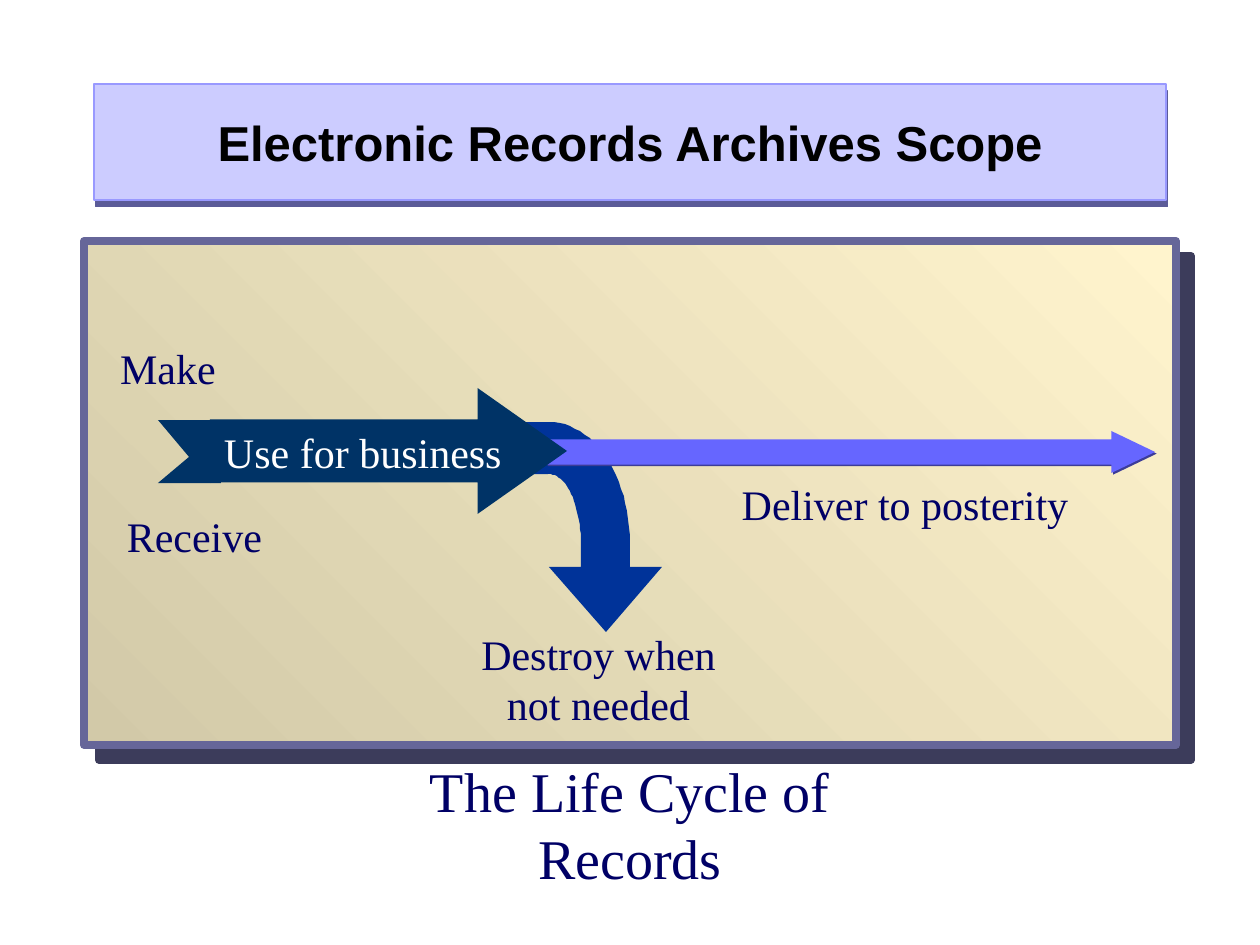
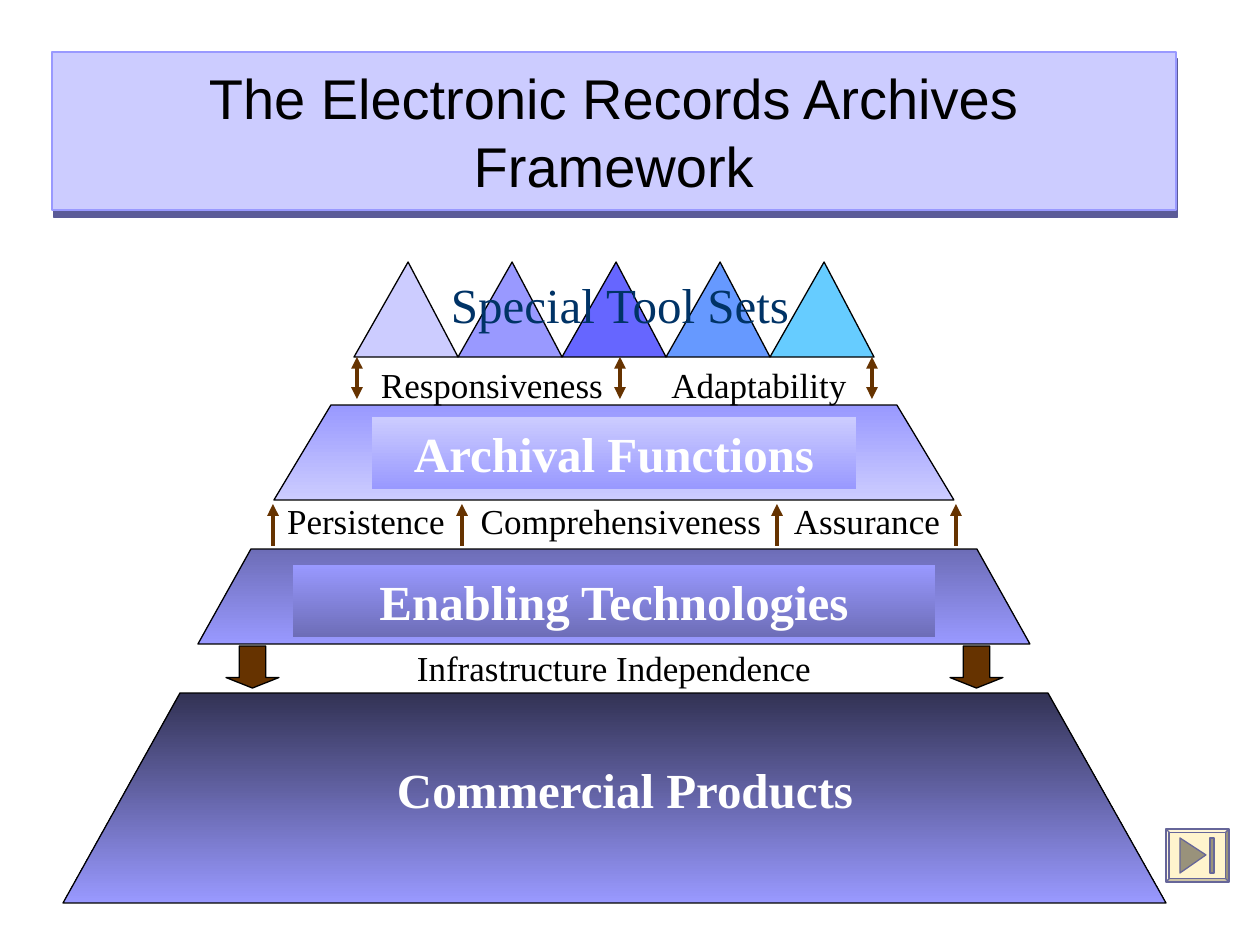
from dataclasses import dataclass

from lxml import etree
from pptx import Presentation, util as u
from pptx.dml.color import RGBColor
from pptx.enum import shapes, text
from pptx.oxml import ns

EMU_PER_PX = 914400 / 126
PRESET = shapes.MSO_SHAPE
CENTER, RIGHT = text.PP_ALIGN.CENTER, text.PP_ALIGN.RIGHT


@dataclass(frozen=True)
class Theme:
    heading_font: str = "Arial"
    body_font: str = "Times New Roman"
    black: str = "000000"
    white: str = "FFFFFF"
    navy: str = "000066"
    deep_blue: str = "003366"
    bend_blue: str = "003399"
    violet: str = "6666FF"
    lilac: str = "9999FF"
    pale_lilac: str = "CCCCFF"
    dusk: str = "6D6DB7"
    midnight: str = "323254"
    sky: str = "6699FF"
    aqua: str = "66CCFF"
    cream: str = "FFF4CD"
    sand: str = "D2C9A8"
    icon: str = "99927B"
    frame: str = "666699"
    brown: str = "663300"
    title_shadow: str = "5B5B98"
    panel_shadow: str = "3C3C5B"
    arrow_shadow: str = "3C3C98"
    display: int = 32
    heading: int = 28
    label: int = 24
    small: int = 20
    hairline: float = 0.75


T = Theme()


def px(length):
    return u.Emu(round(length * EMU_PER_PX))


def rgb(code):
    return RGBColor.from_string(code)


def paint(shape, fill, line=None, width=T.hairline, angle=270):
    """Fill with one colour, or with a (from, to) gradient, and outline."""
    shape.shadow.inherit = False
    if isinstance(fill, tuple):
        shape.fill.gradient()
        shape.fill.gradient_angle = angle
        for stop, code, position in zip(shape.fill.gradient_stops, fill, (0, 1)):
            stop.color.rgb = rgb(code)
            stop.position = position
    else:
        shape.fill.solid()
        shape.fill.fore_color.rgb = rgb(fill)
    if line:
        shape.line.color.rgb = rgb(line)
        shape.line.width = u.Pt(width)
    else:
        shape.line.fill.background()
    return shape


def preset(slide, kind, box, fill, line=None, adjust=(), turn=0, **look):
    shape = slide.shapes.add_shape(kind, *map(px, box))
    for index, value in enumerate(adjust):
        shape.adjustments[index] = value
    shape.rotation = turn
    return paint(shape, fill, line, **look)


def polygon(slide, points, fill, line=None):
    builder = slide.shapes.build_freeform(*points[0], scale=EMU_PER_PX)
    builder.add_line_segments(points[1:], close=True)
    return paint(builder.convert_to_shape(), fill, line)


def curve(start, pull_start, pull_end, end, steps=24):
    """Points along a cubic curve."""
    points = []
    for step in range(steps + 1):
        t = step / steps
        weights = ((1 - t) ** 3, 3 * t * (1 - t) ** 2, 3 * t * t * (1 - t), t ** 3)
        points.append(tuple(
            sum(w * p for w, p in zip(weights, axis))
            for axis in zip(start, pull_start, pull_end, end)))
    return points


def cast_shadow(shape, color, distance, degrees):
    effects = shape._element.spPr.find(ns.qn("a:effectLst"))
    outer = etree.SubElement(
        effects, ns.qn("a:outerShdw"), dist=str(u.Pt(distance)),
        dir=str(degrees * 60000), algn="ctr", rotWithShape="0")
    etree.SubElement(outer, ns.qn("a:srgbClr"), val=color)


def write(shape, words, size, color, bold=False, font=T.body_font,
          align=CENTER, anchor=text.MSO_ANCHOR.TOP):
    frame = shape.text_frame
    frame.text = words
    frame.word_wrap = True
    frame.vertical_anchor = anchor
    paragraph = frame.paragraphs[0]
    paragraph.alignment = align
    style = paragraph.runs[0].font
    style.name, style.size, style.bold = font, u.Pt(size), bold
    style.color.rgb = rgb(color)


def label(slide, words, box, size=T.label, color=T.navy, **style):
    write(slide.shapes.add_textbox(*map(px, box)), words, size, color, **style)


def title_band(slide, words, box, size, bold=False):
    band = preset(slide, PRESET.RECTANGLE, box, T.pale_lilac, T.lilac)
    cast_shadow(band, T.title_shadow, 4.1, 76)
    write(band, words, size, T.black, bold, T.heading_font,
          anchor=text.MSO_ANCHOR.MIDDLE)


def riser(slide, x, bottom, top, both_ways=False):
    """Thin upright arrow between two tiers."""
    arrow = slide.shapes.add_connector(
        shapes.MSO_CONNECTOR.STRAIGHT, px(x), px(bottom), px(x), px(top))
    arrow.line.color.rgb = rgb(T.brown)
    arrow.line.width = u.Pt(2.25)
    line = arrow.line._get_or_add_ln()
    for end in (("headEnd", "tailEnd") if both_ways else ("tailEnd",)):
        etree.SubElement(line, ns.qn("a:" + end), type="triangle")
    etree.SubElement(arrow._element.spPr, ns.qn("a:effectLst"))


def tier(slide, top, bottom, top_edge, bottom_edge, fill):
    """Layer of the pyramid: a trapezoid shaded from top to bottom."""
    corners = [(bottom_edge[0], bottom), (bottom_edge[1], bottom),
               (top_edge[1], top), (top_edge[0], top)]
    polygon(slide, corners, fill, T.black)


def tier_name(slide, words, box, fill):
    plate = preset(slide, PRESET.RECTANGLE, box, fill)
    write(plate, words, T.heading, T.white, bold=True)


def life_cycle(slide):
    title_band(slide, "Electronic Records Archives Scope",
               (94, 84, 1072, 116), T.heading, bold=True)
    label(slide, "The Life Cycle of Records", (319, 783, 622, 81), T.display,
          anchor=text.MSO_ANCHOR.MIDDLE)

    # Panel
    panel = preset(slide, PRESET.RECTANGLE, (84, 241, 1092, 504),
                   (T.cream, T.sand), T.frame, width=4.5, angle=225)
    cast_shadow(panel, T.panel_shadow, 12.1, 45)

    # Bend towards destruction
    bend = [(461, 422),
            *curve((549, 422), (593, 422), (630, 476), (630, 543)),
            (630, 567), (662, 567), (606, 632), (549, 567), (581, 567),
            *curve((581, 543), (581, 505), (566, 474), (549, 474)),
            (461, 475)]
    polygon(slide, bend, T.bend_blue)

    # Arrow to posterity
    posterity = preset(slide, PRESET.RIGHT_ARROW, (546, 431, 609, 42),
                       T.violet, adjust=(0.6, 1.04))
    cast_shadow(posterity, T.arrow_shadow, 1.4, 45)

    # Business arrow with its notched tail
    preset(slide, PRESET.RIGHT_ARROW, (210, 388, 357, 126), T.deep_blue,
           adjust=(0.5, 0.71))
    for left, top, turn in ((163, 425, 270), (158, 420, 180)):
        preset(slide, PRESET.RIGHT_TRIANGLE, (left, top, 53, 63),
               T.deep_blue, turn=turn)
    label(slide, "Use for business", (199, 420, 315, 63), color=T.white,
          align=RIGHT)

    # Stage labels
    for words, box in (("Make", (105, 336, 126, 63)),
                       ("Receive", (105, 504, 179, 63)),
                       ("Deliver to posterity", (714, 472, 382, 63)),
                       ("Destroy when not needed", (462, 622, 273, 113))):
        label(slide, words, box)


def framework(slide):
    title_band(slide, "The Electronic Records Archives Framework",
               (52, 52, 1124, 158), T.display)

    # Tiers
    tier(slide, 693, 903, (180, 1048), (63, 1166), (T.midnight, T.lilac))
    tier(slide, 549, 644, (251, 977), (198, 1030), (T.dusk, T.lilac))
    tier(slide, 405, 500, (331, 897), (274, 954), (T.lilac, T.pale_lilac))
    tier_name(slide, "Enabling Technologies", (293, 565, 642, 72),
              (T.lilac, T.dusk))
    tier_name(slide, "Archival Functions", (372, 417, 484, 72),
              (T.pale_lilac, T.lilac))
    label(slide, "Commercial Products", (307, 753, 636, 72), T.heading,
          T.white, bold=True)

    # Tool sets
    for index, color in enumerate(
            (T.pale_lilac, T.lilac, T.violet, T.sky, T.aqua)):
        preset(slide, PRESET.ISOSCELES_TRIANGLE,
               (354 + 104 * index, 262, 104, 95), color, T.black,
               adjust=(0.52,))
    label(slide, "Special Tool Sets", (407, 268, 426, 72), T.heading,
          T.deep_blue)

    # Qualities between the tiers
    for words, center, top in (("Responsiveness", 492, 357),
                               ("Adaptability", 759, 357),
                               ("Persistence", 366, 493),
                               ("Comprehensiveness", 621, 493),
                               ("Assurance", 867, 493),
                               ("Infrastructure Independence", 614, 640)):
        label(slide, words, (center - 220, top, 440, 55), T.small, T.black)

    # Arrows between the tiers
    for x in (357, 620, 872):
        riser(slide, x, 399, 357, both_ways=True)
    for x in (273, 462, 777, 956):
        riser(slide, x, 546, 504)
    for left in (226, 950):
        preset(slide, PRESET.DOWN_ARROW, (left, 646, 53, 42), T.brown,
               T.black, adjust=(0.5, 0.25))

    # End button
    preset(slide, PRESET.BEVEL, (1166, 829, 63, 53), T.cream, T.frame,
           adjust=(0.06,))
    polygon(slide, [(1180, 838), (1206, 855), (1180, 873)], T.icon, T.frame)
    preset(slide, PRESET.RECTANGLE, (1210, 838, 4, 35), T.icon, T.frame)


def main():
    deck = Presentation()
    deck.slide_width, deck.slide_height = px(1260), px(945)
    for build in (life_cycle, framework):
        build(deck.slides.add_slide(deck.slide_layouts[6]))
    deck.save("out.pptx")


if __name__ == "__main__":
    main()
